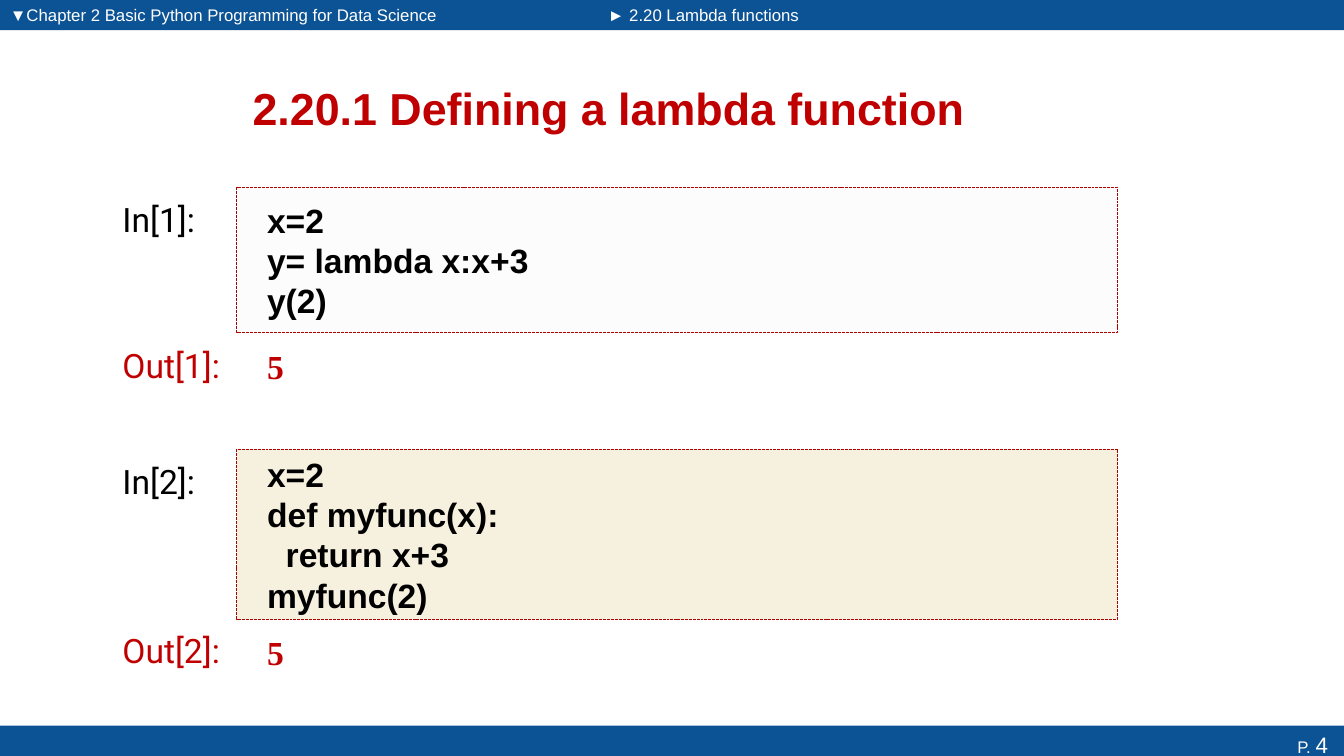
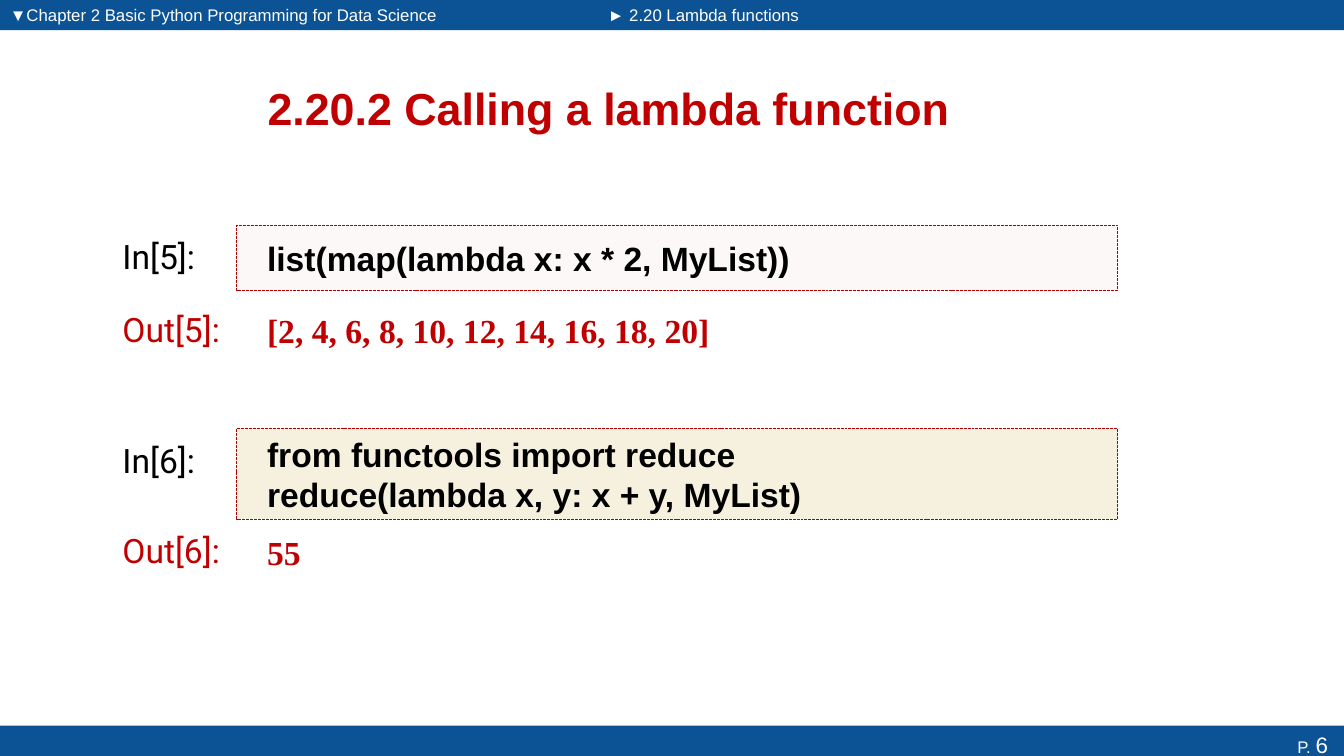
from lxml import etree
from pptx import Presentation
from pptx.dml.color import RGBColor
from pptx.enum.dml import MSO_LINE
from pptx.enum.shapes import MSO_SHAPE
from pptx.enum.text import MSO_ANCHOR, PP_ALIGN
from pptx.oxml.ns import qn
from pptx.util import Inches, Pt

RECTANGLE = MSO_SHAPE.RECTANGLE
SHORT_DASH = MSO_LINE.SQUARE_DOT
TOP, MIDDLE = MSO_ANCHOR.TOP, MSO_ANCHOR.MIDDLE
LEFT, CENTER, RIGHT = PP_ALIGN.LEFT, PP_ALIGN.CENTER, PP_ALIGN.RIGHT

# The slide is a grid of square cells, twelve to the inch
COLUMNS, ROWS = 160, 90
CELL = Inches(1) / 12

COLORS = {
    "band": "0B5394",
    "white": "FFFFFF",
    "red": "C00000",
    "black": "000000",
    "border": "AB0000",
    "gray": "F1EEF4",
    "pink": "EDCDCB",
    "gold": "BF9000",
}
SANS, LABEL, SERIF = "Arial", "Roboto", "Times New Roman"
CHAPTER = "▼Chapter 2 Basic Python Programming for Data Science"
SECTION = "► 2.20 Lambda functions"


def grid(cells):
    return round(cells * CELL)


def color(name):
    return RGBColor.from_string(COLORS[name])


def add_span(para, text, *, size=24, font=SANS, ink="black", bold=False):
    span = para.add_run()
    span.text = text
    span.font.size = Pt(size)
    span.font.name = font
    span.font.bold = bold
    span.font.color.rgb = color(ink)


class LessonDeck:
    BAND_HEIGHT = 3.6
    HEADER_SPLIT = 71.2
    LABEL_LEFT, LABEL_WIDTH, LABEL_HEIGHT = 13.4, 16.2, 6
    LABEL_DROP = 0.75
    CODE_LEFT, CODE_WIDTH = 28.2, 104.9
    CODE_INSET = 3.6
    RESULT_HEIGHT = 7.8

    def __init__(self):
        self.deck = Presentation()
        self.deck.slide_width = grid(COLUMNS)
        self.deck.slide_height = grid(ROWS)
        self.page = None

    def text(self, box, lines, *, align=LEFT, anchor=TOP, left=1.2, right=1.2, **style):
        """Fill a box with one paragraph per line."""
        frame = box.text_frame
        frame.word_wrap = True
        frame.vertical_anchor = anchor
        frame.margin_left, frame.margin_right = grid(left), grid(right)
        frame.margin_top = frame.margin_bottom = grid(0.6)
        for index, line in enumerate(lines):
            para = frame.add_paragraph() if index else frame.paragraphs[0]
            para.alignment = align
            add_span(para, line, **style)
        return frame

    def text_box(self, place, lines, **style):
        box = self.page.shapes.add_textbox(*map(grid, place))
        self.text(box, lines, **style)

    def rectangle(self, place, fill):
        box = self.page.shapes.add_shape(RECTANGLE, *map(grid, place))
        box.shadow.inherit = False
        box.fill.solid()
        box.fill.fore_color.rgb = color(fill)
        box.line.fill.background()
        return box

    def header(self, left, width, text):
        band = self.rectangle((left, 0, width, self.BAND_HEIGHT), "band")
        self.text(band, [text], anchor=MIDDLE, size=12, ink="white")

    def footer(self, number):
        top = ROWS - self.BAND_HEIGHT
        band = self.rectangle((0, top, COLUMNS, self.BAND_HEIGHT), "band")
        frame = self.text(band, ["P. "], align=RIGHT, right=1.9, size=12, ink="white")
        add_span(frame.paragraphs[0], str(number), size=16, ink="white")

    def add_page(self, title, number):
        self.page = self.deck.slides.add_slide(self.deck.slide_layouts[6])
        self.header(0, self.HEADER_SPLIT, CHAPTER)
        self.header(self.HEADER_SPLIT, COLUMNS - self.HEADER_SPLIT, SECTION)
        self.footer(number)
        self.text_box((8.2, 7.4, 128.6, 10.8), [title], align=CENTER,
                      anchor=MIDDLE, size=32, ink="red", bold=True)

    def label(self, top, text, ink):
        place = (self.LABEL_LEFT, top + self.LABEL_DROP,
                 self.LABEL_WIDTH, self.LABEL_HEIGHT)
        self.text_box(place, [text], font=LABEL, ink=ink)

    def code(self, top, height, fill, lines):
        box = self.rectangle((self.CODE_LEFT, top, self.CODE_WIDTH, height), fill)
        tint = box.fill._xPr.find(qn("a:solidFill"))[0]
        etree.SubElement(tint, qn("a:alpha")).set("val", "13000")
        box.line.color.rgb = color("border")
        box.line.width = Pt(0.7)
        box.line.dash_style = SHORT_DASH
        self.text(box, lines, anchor=MIDDLE, left=self.CODE_INSET, bold=True)

    def result(self, top, text):
        place = (self.CODE_LEFT, top, self.CODE_WIDTH, self.RESULT_HEIGHT)
        self.text_box(place, [text], anchor=MIDDLE, left=self.CODE_INSET,
                      font=SERIF, ink="red", bold=True)

    def example(self, number, top, height, fill, lines, result, gap=0):
        """Place a numbered code cell and, below it, its result."""
        result_top = top + height + gap
        self.label(top, f"In[{number}]:", "black")
        self.code(top, height, fill, lines)
        self.label(result_top, f"Out[{number}]:", "red")
        self.result(result_top, result)


def main():
    lesson = LessonDeck()

    # Defining a lambda function
    lesson.add_page("2.20.1 Defining a lambda function", 4)
    lesson.example(1, 22.3, 17.3, "gray", ["x=2", "y= lambda x:x+3", "y(2)"], "5", gap=0.1)
    lesson.example(2, 53.5, 20.2, "gold",
                   ["x=2", "def myfunc(x):", "  return x+3", "myfunc(2)"], "5")

    # Calling a lambda function
    lesson.add_page("2.20.2 Calling a lambda function", 6)
    lesson.example(5, 26.8, 7.8, "pink", ["list(map(lambda x: x * 2, MyList))"],
                   "[2, 4, 6, 8, 10, 12, 14, 16, 18, 20]", gap=0.8)
    lesson.example(6, 51, 10.8, "gold",
                   ["from functools import reduce", "reduce(lambda x, y: x + y, MyList)"],
                   "55")

    lesson.deck.save("out.pptx")


if __name__ == "__main__":
    main()
